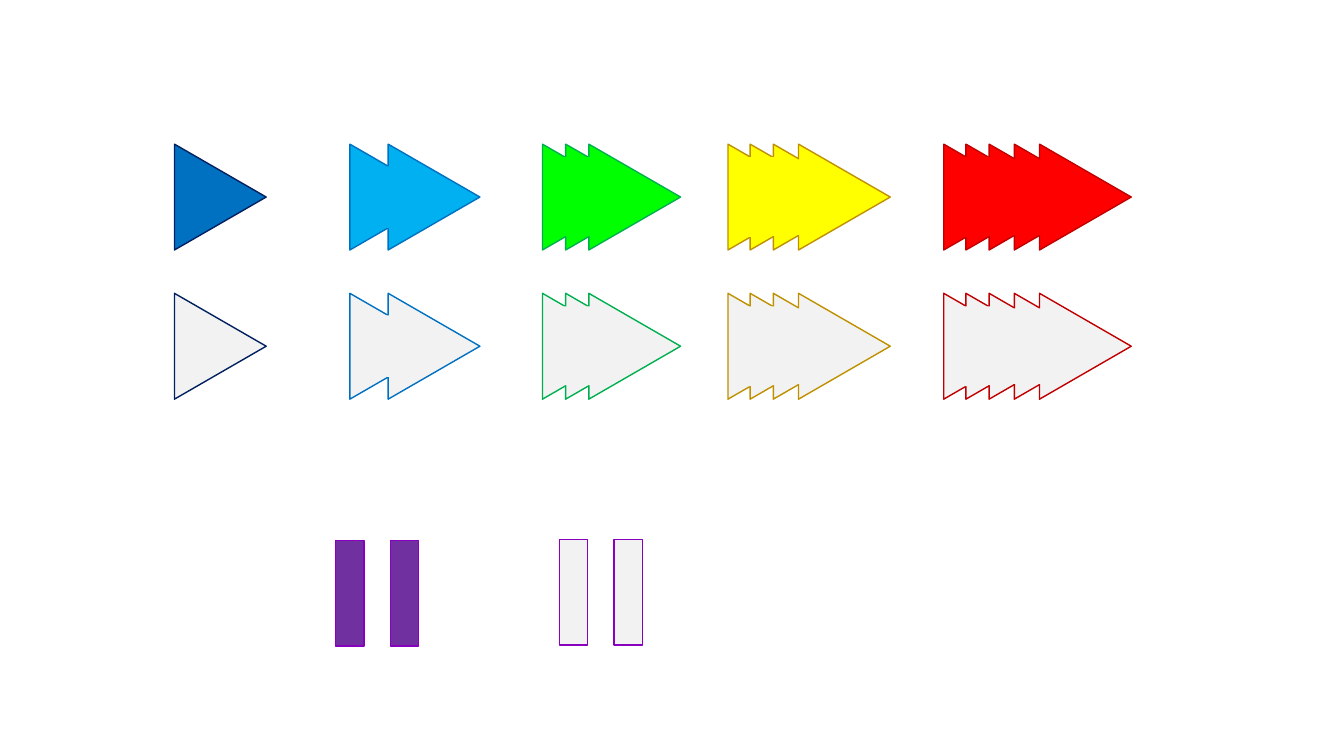
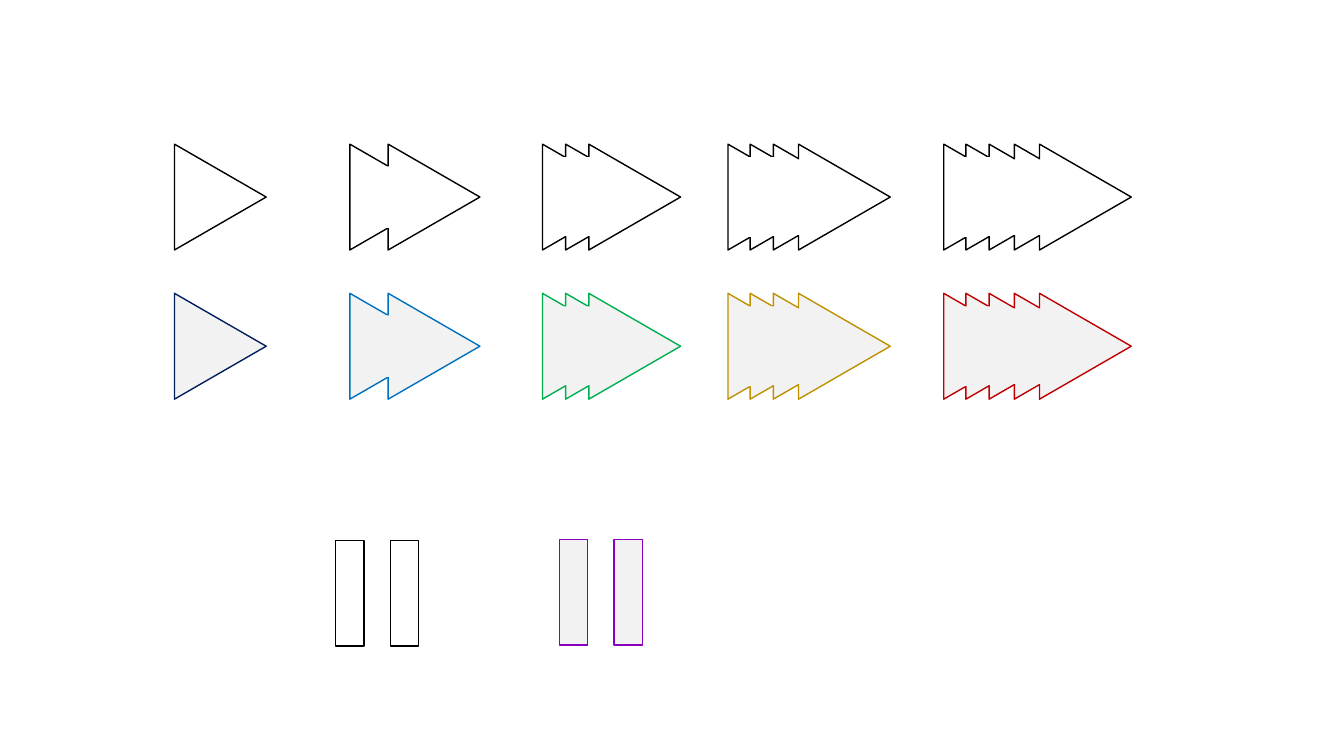
from itertools import accumulate
from pptx import Presentation
from pptx.dml.color import RGBColor
from pptx.enum.shapes import MSO_SHAPE
from pptx.util import Pt

SCALE = 9144
WIDTH, HEIGHT = 1333, 750

WHITE = RGBColor(0xFF, 0xFF, 0xFF)
BLACK = RGBColor(0x00, 0x00, 0x00)
GRAY = RGBColor(0xF2, 0xF2, 0xF2)
NAVY = RGBColor(0x00, 0x20, 0x60)
BLUE = RGBColor(0x00, 0x70, 0xC0)
SKY = RGBColor(0x00, 0xB0, 0xF0)
LIME = RGBColor(0x00, 0xFF, 0x00)
GREEN = RGBColor(0x00, 0xB0, 0x50)
YELLOW = RGBColor(0xFF, 0xFF, 0x00)
GOLD = RGBColor(0xBF, 0x90, 0x00)
RED = RGBColor(0xFF, 0x00, 0x00)
MAROON = RGBColor(0xC0, 0x00, 0x00)
PURPLE = RGBColor(0x70, 0x30, 0xA0)
VIOLET = RGBColor(0x88, 0x00, 0xBE)

BASE, DEPTH = 105, 91
ROWS = (150, 298)
ARROWS = (
    (166, ()),
    (340, (38,)),
    (531, (23, 23)),
    (715, (22, 23, 25)),
    (929, (22, 23, 25, 25)),
)
BRIGHT = (BLUE, SKY, LIME, YELLOW, RED)
EDGES = (NAVY, BLUE, GREEN, GOLD, MAROON)
PALE = (GRAY,) * len(ARROWS)


def draw(slide, kind, box, fill, line=None, turn=0):
    shape = slide.shapes.add_shape(kind, *(n * SCALE for n in box))
    shape.shadow.inherit = False
    shape.rotation = turn
    shape.fill.solid()
    shape.fill.fore_color.rgb = fill
    if line is None:
        shape.line.fill.background()
    else:
        shape.line.color.rgb = line
        shape.line.width = Pt(1)


def arrow(slide, left, top, gaps, fill, line):
    for x in accumulate(gaps, initial=left):
        draw(slide, MSO_SHAPE.ISOSCELES_TRIANGLE, (x, top, BASE, DEPTH),
             fill, line, turn=90)
    for x, gap in zip(accumulate(gaps), gaps):
        tall = round((BASE - 1) * (1 - gap / DEPTH))
        draw(slide, MSO_SHAPE.RECTANGLE,
             (left + x + 3, top + (DEPTH - tall) // 2, 11, tall), fill)


def row(slide, top, fills, lines):
    for (left, gaps), fill, line in zip(ARROWS, fills, lines):
        arrow(slide, left, top, gaps, fill, line)


def pause(slide, left, top, fill, line):
    for x in (left, left + 54):
        draw(slide, MSO_SHAPE.RECTANGLE, (x, top, 28, BASE), fill, line)


def sheet(deck, fills, lines, bar, rim):
    slide = deck.slides.add_slide(deck.slide_layouts[6])
    row(slide, ROWS[0], fills, lines)
    row(slide, ROWS[1], PALE, EDGES)
    pause(slide, 333, 536, bar, rim)
    pause(slide, 555, 535, GRAY, VIOLET)


def main():
    deck = Presentation()
    deck.slide_width = WIDTH * SCALE
    deck.slide_height = HEIGHT * SCALE
    count = len(ARROWS)
    sheet(deck, BRIGHT, EDGES, PURPLE, VIOLET)
    sheet(deck, (WHITE,) * count, (BLACK,) * count, WHITE, BLACK)
    deck.save("out.pptx")


if __name__ == "__main__":
    main()
